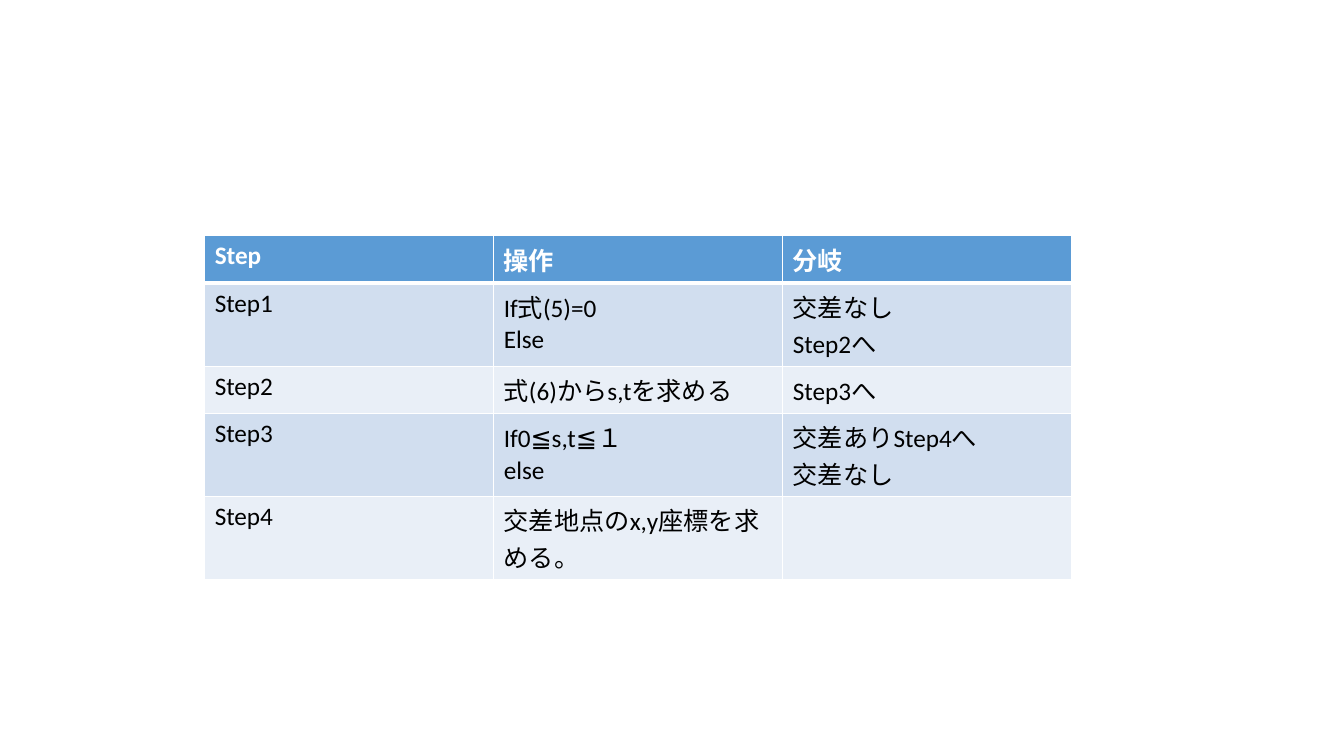
from dataclasses import dataclass
from pptx import Presentation as Deck
from pptx.dml.color import RGBColor as Color
from pptx.oxml import parse_xml as to_xml
from pptx.oxml.ns import nsdecls
from pptx.util import Inches, Pt


@dataclass(frozen=True)
class Theme:
    """Colours, font and line sizes."""
    font: str = "Calibri"
    size: float = 18
    head: str = "5B9BD5"
    bands: tuple = ("D1DEEF", "E9EFF7")
    light: str = "FFFFFF"
    dark: str = "000000"
    thin: float = 0.96
    thick: float = 3


class Page:
    """Draws styled parts on one slide."""

    def __init__(self, deck, theme):
        """Add a blank slide."""
        self.theme = theme
        self.slide = deck.slides.add_slide(deck.slide_layouts[6])

    def edge(self, cell, side, width):
        """Draw one border of a cell."""
        cell._tc.get_or_add_tcPr().append(to_xml(
            f'<a:ln{side} {nsdecls("a")} w="{Pt(width)}"><a:solidFill>'
            f'<a:srgbClr val="{self.theme.light}"/></a:solidFill></a:ln{side}>'))

    def cell(self, cell, text, row):
        """Fill, frame and write one cell."""
        look = self.theme
        top = row == 0
        thick = {"T": row == 1, "B": top}
        for side in "LRTB":
            self.edge(cell, side, look.thick if thick.get(side) else look.thin)
        cell.fill.solid()
        fill = look.head if top else look.bands[(row - 1) % 2]
        cell.fill.fore_color.rgb = Color.from_string(fill)
        cell.text = text
        form = {"name": look.font, "size": Pt(look.size), "bold": top}
        ink = Color.from_string(look.light if top else look.dark)
        for para in cell.text_frame.paragraphs:
            for run in para.runs:
                for key, value in form.items():
                    setattr(run.font, key, value)
                run.font.color.rgb = ink

    def table(self, left, top, width, highs, rows):
        """Add a table with equal columns."""
        count = len(rows[0])
        grid = self.slide.shapes.add_table(
            len(rows), count, Inches(left), Inches(top),
            Inches(width), Inches(sum(highs))).table
        for row, (high, texts) in enumerate(zip(highs, rows)):
            grid.rows[row].height = Inches(high)
            for col, text in enumerate(texts):
                self.cell(grid.cell(row, col), text, row)


STEPS = [
    ("Step", "操作", "分岐"),
    ("Step1", "If式(5)=0\nElse", "交差なし\nStep2へ"),
    ("Step2", "式(6)からs,tを求める", "Step3へ"),
    ("Step3", "If0≦s,t≦１\nelse", "交差ありStep4へ\n交差なし"),
    ("Step4", "交差地点のx,y座標を求める。", ""),
]


def main():
    """Build and save the slide."""
    deck = Deck()
    size = {"slide_width": Inches(13.33), "slide_height": Inches(7.5)}
    for key, value in size.items():
        setattr(deck, key, value)
    page = Page(deck, Theme())
    page.table(2.03, 2.34, 8.6, (0.47, 0.78, 0.47, 0.78, 0.78), STEPS)
    deck.save("out.pptx")


if __name__ == "__main__":
    main()
